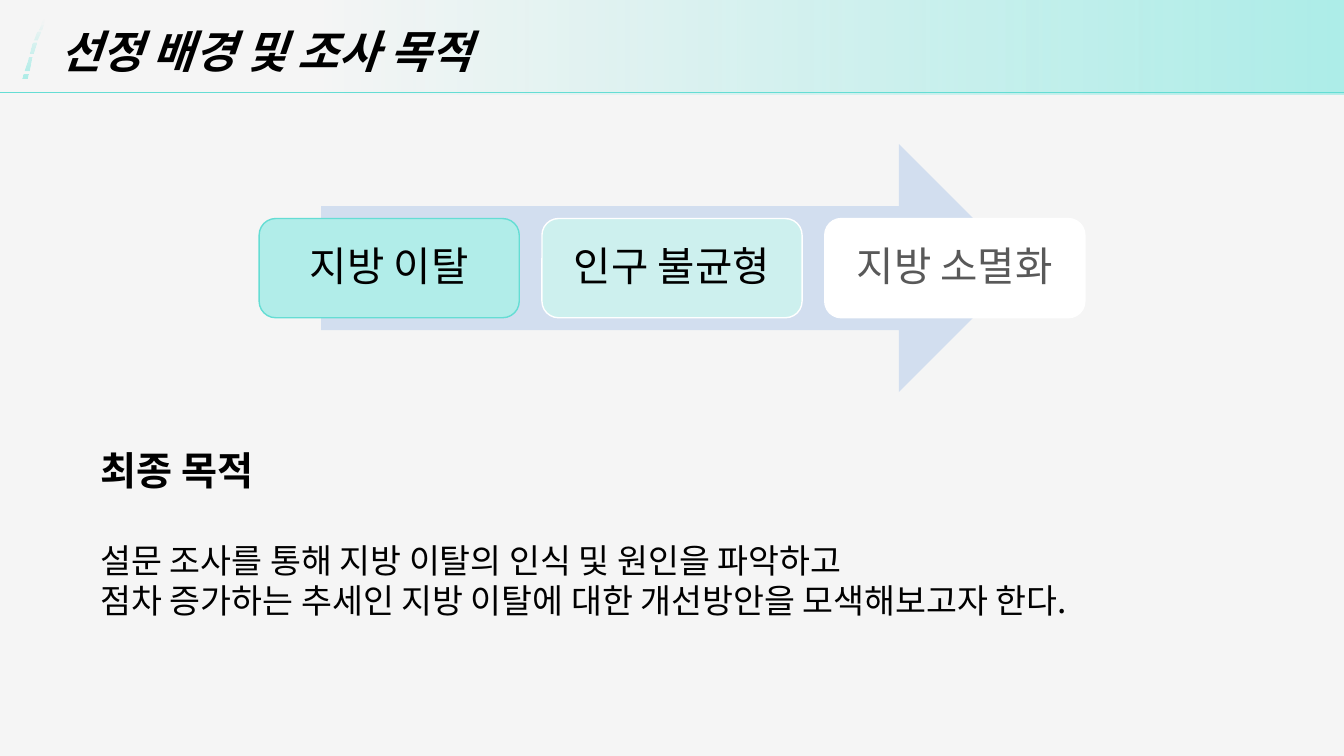
import pptx
import pptx.dml.color
import pptx.enum.shapes
import pptx.enum.text
import pptx.oxml.ns
import pptx.util
from dataclasses import dataclass
from lxml import etree

Inches = pptx.util.Inches
Pt = pptx.util.Pt
SHAPES = pptx.enum.shapes.MSO_SHAPE
ALIGN = pptx.enum.text.PP_ALIGN
MIDDLE = pptx.enum.text.MSO_ANCHOR.MIDDLE
qn = pptx.oxml.ns.qn


@dataclass(frozen=True)
class Theme:
    font: str = "Noto Sans CJK KR"
    background: str = "F5F5F5"
    mint: str = "ADEDE8"
    teal: str = "65DDD4"
    arrow: str = "D2DEEF"
    white: str = "FFFFFF"
    ink: str = "000000"
    gray: str = "595959"
    first_step: str = "B1EDE9"
    second_step: str = "CDF0EE"
    title_size: float = 32
    step_size: float = 29
    heading_size: float = 28
    body_size: float = 24
    line_height: float = 1.19


THEME = Theme()

# Each dash of the header mark, from bottom to top: corners in inches
MARK_DASHES = [
    [(0.23, 0.73), (0.28, 0.73), (0.27, 0.78), (0.22, 0.78)],
    [(0.28, 0.56), (0.32, 0.56), (0.31, 0.61), (0.29, 0.7), (0.24, 0.7), (0.27, 0.61)],
    [(0.33, 0.42), (0.36, 0.42), (0.36, 0.44), (0.33, 0.53), (0.29, 0.53), (0.32, 0.43)],
    [(0.37, 0.31), (0.4, 0.31), (0.4, 0.32), (0.37, 0.4), (0.33, 0.4), (0.36, 0.32)],
    [(0.4, 0.24), (0.43, 0.24), (0.41, 0.3), (0.38, 0.3)],
    [(0.42, 0.19), (0.44, 0.19), (0.43, 0.23), (0.4, 0.23)],
]


def rgb(color):
    return pptx.dml.color.RGBColor.from_string(color)


def fill_plain(shape, color, line=None):
    shape.shadow.inherit = False
    shape.fill.solid()
    shape.fill.fore_color.rgb = rgb(color)
    if line:
        shape.line.color.rgb = rgb(line)
        shape.line.width = Pt(1)
    else:
        shape.line.fill.background()


def fill_fade(shape, angle, start=0.0):
    """Fade from clear to mint."""
    shape.shadow.inherit = False
    shape.line.fill.background()
    shape.fill.gradient()
    shape.fill.gradient_angle = angle
    for stop, position in zip(shape.fill.gradient_stops, (start, 1.0)):
        stop.color.rgb = rgb(THEME.mint)
        stop.position = position
    clear_color = next(shape.element.iter(qn("a:srgbClr")))
    etree.SubElement(clear_color, qn("a:alpha"), val="0")


def write(paragraph, text, size, color=THEME.ink, bold=False, italic=False):
    paragraph.text = text
    font = paragraph.font
    font.size = Pt(size)
    font.bold = bold
    font.italic = italic
    font.color.rgb = rgb(color)
    font.name = THEME.font
    # Hangul takes the East Asian typeface
    latin = next(paragraph._p.iter(qn("a:latin")))
    latin.addnext(latin.makeelement(qn("a:ea"), {"typeface": THEME.font}))


def add_text_frame(slide, left, top, width, height):
    box = slide.shapes.add_textbox(
        Inches(left), Inches(top), Inches(width), Inches(height))
    box.text_frame.word_wrap = True
    return box.text_frame


def add_header(slide, left, top, width, height):
    # Fading band
    band = slide.shapes.add_shape(
        SHAPES.RECTANGLE, Inches(left), Inches(top), Inches(width), Inches(height))
    fill_fade(band, 0, start=0.24)

    # Dashed mark
    points = [[(Inches(left + x), Inches(top + y)) for x, y in dash]
              for dash in MARK_DASHES]
    builder = slide.shapes.build_freeform(*points[0][0])
    for dash in points:
        builder.move_to(*dash[0])
        builder.add_line_segments(dash[1:], close=True)
    fill_fade(builder.convert_to_shape(), 270)

    # Title
    frame = add_text_frame(slide, left + 0.5, top + 0.18, 6.39, 0.64)
    frame.vertical_anchor = MIDDLE
    write(frame.paragraphs[0], "선정 배경 및 조사 목적", THEME.title_size,
          bold=True, italic=True)

    # Rule under the title
    rule = slide.shapes.add_connector(
        pptx.enum.shapes.MSO_CONNECTOR.STRAIGHT,
        Inches(left), Inches(top + 0.92), Inches(left + width), Inches(top + 0.92))
    rule.line.color.rgb = rgb(THEME.teal)
    rule.line.width = Pt(0.5)
    etree.SubElement(rule.element.spPr, qn("a:effectLst"))


def add_process(slide, left, top, width, height):
    # Arrow takes 85 % of the width, centred
    arrow_width = 0.85 * width
    arrow = slide.shapes.add_shape(
        SHAPES.RIGHT_ARROW, Inches(left + (width - arrow_width) / 2), Inches(top),
        Inches(arrow_width), Inches(height))
    fill_plain(arrow, THEME.arrow)

    # Steps, evenly spaced on the arrow's axis
    steps = [
        ("지방 이탈", THEME.first_step, THEME.teal, THEME.ink),
        ("인구 불균형", THEME.second_step, THEME.white, THEME.ink),
        ("지방 소멸화", THEME.white, THEME.white, THEME.gray),
    ]
    step_width, step_height = 2.58, 0.4 * height
    pitch = (width - step_width) / (len(steps) - 1)
    for index, (label, fill, line, color) in enumerate(steps):
        step = slide.shapes.add_shape(
            SHAPES.ROUNDED_RECTANGLE, Inches(left + index * pitch),
            Inches(top + (height - step_height) / 2),
            Inches(step_width), Inches(step_height))
        fill_plain(step, fill, line)
        step.text_frame.vertical_anchor = MIDDLE
        paragraph = step.text_frame.paragraphs[0]
        write(paragraph, label, THEME.step_size, color)
        paragraph.alignment = ALIGN.CENTER
        paragraph.line_spacing = 0.9


def add_purpose(slide, left, top, width, height):
    frame = add_text_frame(slide, left, top, width, height)
    lines = [
        ("최종 목적", THEME.heading_size, True),
        ("설문 조사를 통해 지방 이탈의 인식 및 원인을 파악하고", THEME.body_size, False),
        ("점차 증가하는 추세인 지방 이탈에 대한 개선방안을 모색해보고자 한다.",
         THEME.body_size, False),
    ]
    for index, (text, size, bold) in enumerate(lines):
        paragraph = frame.add_paragraph() if index else frame.paragraphs[0]
        write(paragraph, text, size, bold=bold)
        paragraph.line_spacing = Pt(size * THEME.line_height)
    # One heading line of space below the heading
    frame.paragraphs[0].space_after = Pt(THEME.heading_size * THEME.line_height)


def main():
    presentation = pptx.Presentation()
    presentation.slide_width = Inches(13.33)
    presentation.slide_height = Inches(7.5)
    slide = presentation.slides.add_slide(presentation.slide_layouts[6])
    slide.background.fill.solid()
    slide.background.fill.fore_color.rgb = rgb(THEME.background)

    add_header(slide, 0, 0, 13.33, 0.94)
    add_process(slide, 2.57, 1.43, 8.19, 2.46)
    add_purpose(slide, 0.9, 4.38, 11.27, 1.85)
    presentation.save("out.pptx")


if __name__ == "__main__":
    main()
